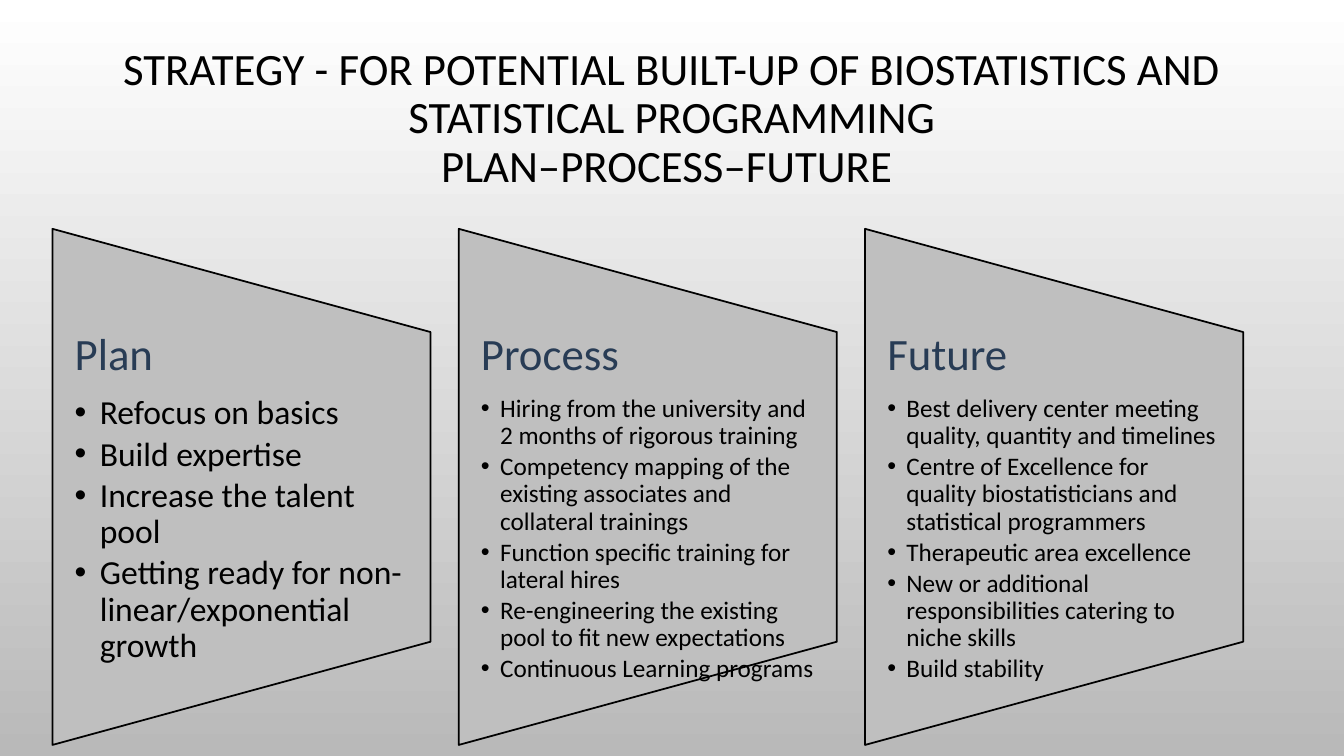
from lxml.etree import SubElement
from pptx import Presentation
from pptx.dml.color import RGBColor
from pptx.enum.shapes import MSO_SHAPE
from pptx.enum.text import MSO_ANCHOR, PP_ALIGN
from pptx.oxml.ns import qn
from pptx.util import Inches, Pt

FONT = "Calibri"
BLACK = "000000"
HEADING_COLOR = "283C55"
PANEL_FILL = "BFBFBF"
HEADING_SIZE = 32

TITLE_LINES = [
    "STRATEGY - FOR POTENTIAL BUILT-UP OF BIOSTATISTICS AND STATISTICAL PROGRAMMING",
    "PLAN–PROCESS–FUTURE ",
]
PANELS = [
    ("Plan", 24, 0.25, [
        "Refocus on basics",
        "Build expertise",
        "Increase the talent pool",
        "Getting ready for non-linear/exponential growth",
    ]),
    ("Process", 18, 0.19, [
        "Hiring from the university and 2 months of rigorous training",
        "Competency mapping of the existing associates and collateral trainings",
        "Function specific training for lateral hires",
        "Re-engineering the existing pool to fit new expectations",
        "Continuous Learning programs",
    ]),
    ("Future", 18, 0.19, [
        "Best delivery center meeting quality, quantity and timelines",
        "Centre of Excellence for quality biostatisticians and statistical programmers",
        "Therapeutic area excellence",
        "New or additional responsibilities catering to niche skills",
        "Build stability",
    ]),
]
PANEL_LEFT, PANEL_STEP = 0.52, 4.03
PANEL_TOP, PANEL_WIDTH, PANEL_HEIGHT = 2.27, 3.75, 5.12
TEXT_TOP, TEXT_HEIGHT = 3.29, 3.07


def rgb(code):
    """Turn a hex string into a colour."""
    return RGBColor.from_string(code)


def paint_background(page):
    """Fill the page with a vertical white-to-grey gradient."""
    fill = page.background.fill
    fill.gradient()
    fill.gradient_angle = 270
    for stop, code in zip(fill.gradient_stops, ("FFFFFF", "B9B9B9")):
        stop.color.rgb = rgb(code)


def add_box(page, left, top, width, height, side=0.1, edge=0.05, anchor=MSO_ANCHOR.TOP):
    """Add a wrapping text box and return its text frame."""
    box = page.shapes.add_textbox(Inches(left), Inches(top), Inches(width), Inches(height))
    frame = box.text_frame
    frame.word_wrap = True
    frame.vertical_anchor = anchor
    frame.margin_left = frame.margin_right = Inches(side)
    frame.margin_top = frame.margin_bottom = Inches(edge)
    return frame


def write(para, text, size, color=BLACK, align=PP_ALIGN.LEFT, after=0):
    """Write formatted text into a paragraph; after is a share of the size."""
    para.alignment = align
    para.line_spacing = 0.9
    para.space_before = Pt(0)
    para.space_after = Pt(size * after)
    for index, line in enumerate(text.split("\n")):
        if index:
            para.add_line_break()
        span = para.add_run()
        span.text = line
        span.font.name = FONT
        span.font.size = Pt(size)
        span.font.color.rgb = rgb(color)


def add_bullet(para, indent):
    """Give a paragraph a round bullet with a hanging indent."""
    props = para._p.get_or_add_pPr()
    props.set("marL", str(Inches(indent)))
    props.set("indent", str(-Inches(indent)))
    SubElement(props, qn("a:buFont"), typeface="Arial")
    SubElement(props, qn("a:buChar"), char="•")


def add_panel_shape(page, left):
    """Draw a panel as a manual-operation shape turned on its side."""
    offset = (PANEL_HEIGHT - PANEL_WIDTH) / 2
    shape = page.shapes.add_shape(
        MSO_SHAPE.FLOWCHART_MANUAL_OPERATION,
        Inches(left - offset), Inches(PANEL_TOP + offset),
        Inches(PANEL_HEIGHT), Inches(PANEL_WIDTH),
    )
    shape.rotation = 270
    shape.shadow.inherit = False
    shape.fill.solid()
    shape.fill.fore_color.rgb = rgb(PANEL_FILL)
    shape.line.color.rgb = rgb(BLACK)
    shape.line.width = Pt(1.25)


def add_panel(page, left, heading, size, indent, points):
    """Add one panel with its heading and bulleted points."""
    add_panel_shape(page, left)
    frame = add_box(page, left, TEXT_TOP, PANEL_WIDTH, TEXT_HEIGHT, side=0.22, edge=0)
    write(frame.paragraphs[0], heading, HEADING_SIZE, color=HEADING_COLOR, after=0.35)
    for point in points:
        para = frame.add_paragraph()
        write(para, point, size, after=0.15)
        add_bullet(para, indent)


def main():
    """Build and save the deck."""
    deck = Presentation()
    deck.slide_width, deck.slide_height = Inches(13.33), Inches(7.5)
    page = deck.slides.add_slide(deck.slide_layouts[6])
    paint_background(page)
    title = add_box(page, 1, 0.31, 11.33, 1.75, anchor=MSO_ANCHOR.MIDDLE)
    write(title.paragraphs[0], "\n".join(TITLE_LINES), HEADING_SIZE, align=PP_ALIGN.CENTER)
    for index, panel in enumerate(PANELS):
        add_panel(page, PANEL_LEFT + index * PANEL_STEP, *panel)
    deck.save("out.pptx")


if __name__ == "__main__":
    main()
